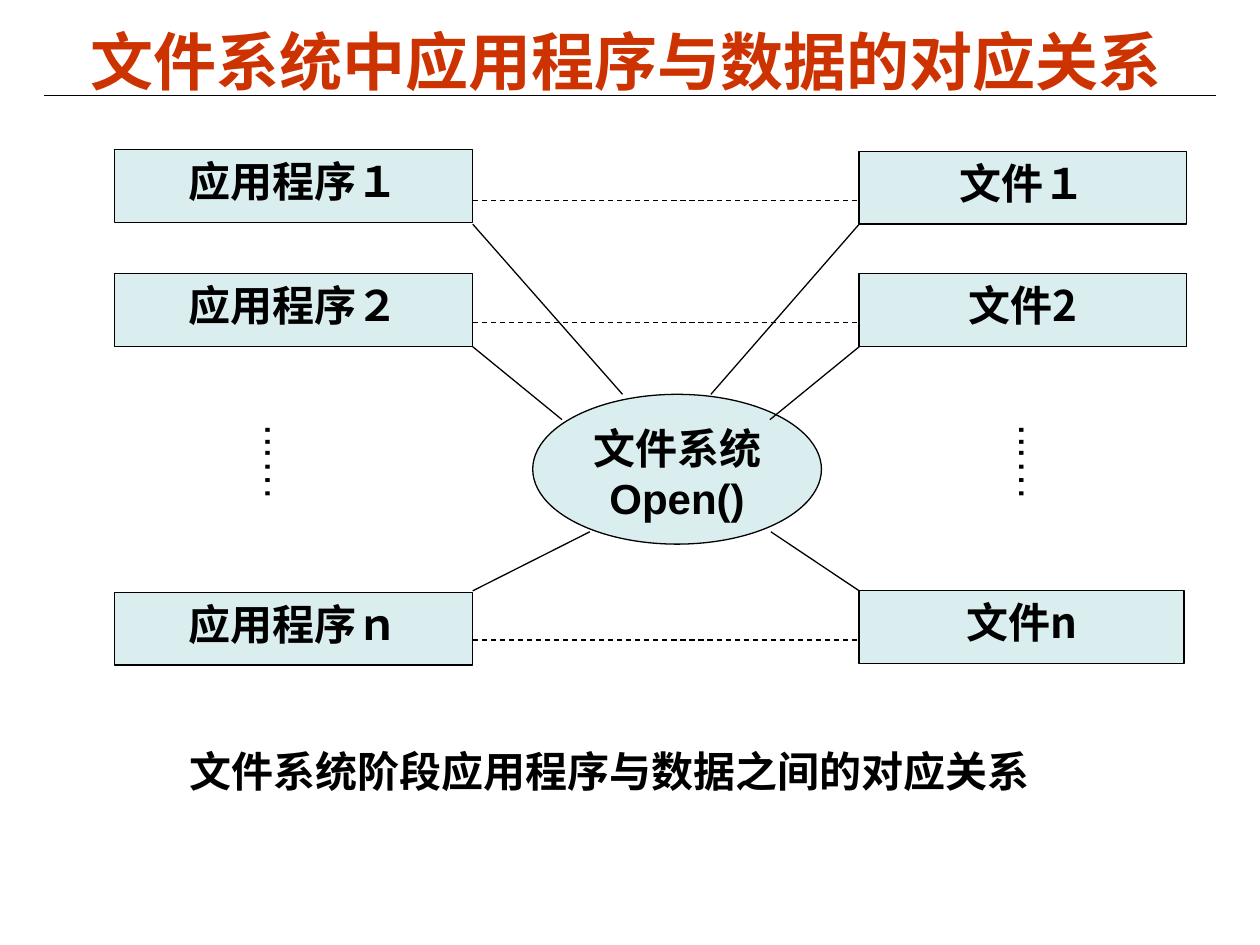
from dataclasses import dataclass

from lxml import etree
from pptx import Presentation
from pptx.dml.color import RGBColor
from pptx.enum import dml, shapes, text
from pptx.oxml import ns
from pptx.util import Cm, Pt


@dataclass
class Theme:
    ink = RGBColor(0, 0, 0)
    head = RGBColor(0xCC, 0x33, 0x00)
    fill = RGBColor(0xDA, 0xED, 0xEF)
    cjk = "Noto Sans CJK SC"
    latin = "Arial"
    big = Pt(36)
    body = Pt(24)
    thin = Pt(0.75)


theme = Theme()
mid = text.PP_ALIGN.CENTER


def write(shape, words, size=theme.body, color=theme.ink, bold=True,
          face=theme.cjk, align=mid):
    """Set the words of a shape and format every run, Latin and East Asian."""
    frame = shape.text_frame
    frame.text = words
    frame.word_wrap = True
    frame.vertical_anchor = text.MSO_ANCHOR.TOP
    for para in frame.paragraphs:
        para.alignment = align
        for run in para.runs:
            font = run.font
            font.size, font.bold, font.name = size, bold, face
            font.color.rgb = color
            east = etree.SubElement(font._element, ns.qn("a:ea"))
            east.set("typeface", face)
    return frame


def link(x1, y1, x2, y2, dash=False):
    line = slide.shapes.add_connector(
        shapes.MSO_CONNECTOR.STRAIGHT, Cm(x1), Cm(y1), Cm(x2), Cm(y2))
    line.line.color.rgb = theme.ink
    line.line.width = theme.thin
    if dash:
        line.line.dash_style = dml.MSO_LINE.DASH
    etree.SubElement(line._element.spPr, ns.qn("a:effectLst"))


deck = Presentation()
deck.slide_width, deck.slide_height = Cm(25.4), Cm(19.05)
slide = deck.slides.add_slide(deck.slide_layouts[6])

# Title and rule
link(0.89, 1.93, 24.51, 1.93)
title = slide.shapes.add_textbox(Cm(0.94), Cm(0.41), Cm(23.37), Cm(1.63))
frame = write(title, "文件系统中应用程序与数据的对应关系", theme.big, theme.head)
frame.vertical_anchor = text.MSO_ANCHOR.MIDDLE

# Programs on the left, files on the right, the file system between them
left, right = 9.53, 17.32
rect, oval = shapes.MSO_SHAPE.RECTANGLE, shapes.MSO_SHAPE.OVAL
nodes = [
    (rect, "应用程序１", 2.31, 3.02, 7.22, 1.47),
    (rect, "文件１", right, 3.05, 6.6, 1.47),
    (rect, "应用程序２", 2.31, 5.51, 7.22, 1.47),
    (rect, "文件2", right, 5.51, 6.6, 1.47),
    (rect, "应用程序ｎ", 2.31, 11.94, 7.22, 1.47),
    (rect, "文件n", right, 11.91, 6.55, 1.47),
    (oval, "文件系统\nOpen()", 10.74, 7.95, 5.82, 3.02),
]
for kind, words, x, y, wide, high in nodes:
    node = slide.shapes.add_shape(kind, Cm(x), Cm(y), Cm(wide), Cm(high))
    node.shadow.inherit = False
    node.fill.solid()
    node.fill.fore_color.rgb = theme.fill
    node.line.color.rgb = theme.ink
    node.line.width = theme.thin
    frame = write(node, words)

# The call in the oval is set in the Latin face
for run in frame.paragraphs[1].runs:
    run.font.name = theme.latin

# Logical pairs are dashed, real access paths are solid
for y in (4.04, 6.5, 12.9):
    link(left, y, right, y, dash=True)
for y, x1, x2, end in ((4.52, 12.55, 14.33, 7.95),
                       (6.99, 11.33, 15.52, 8.46),
                       (11.91, 11.89, 15.54, 10.72)):
    link(left, y, x1, end)
    link(right, y, x2, end)

# Vertical dots for the rows left out
for x, high in ((5.13, 2.62), (20.32, 2.84)):
    dots = slide.shapes.add_textbox(Cm(x), Cm(8.31), Cm(1.52), Cm(high))
    frame = write(dots, "...…", bold=False, face=theme.latin,
                  align=text.PP_ALIGN.LEFT)
    frame.margin_left, frame.margin_right = Cm(0.13), Cm(0.45)
    frame.margin_top = frame.margin_bottom = Cm(0.25)
    frame._txBody.bodyPr.set("vert", "eaVert")

# Caption
note = slide.shapes.add_textbox(Cm(3.58), Cm(14.91), Cm(19.76), Cm(1.27))
write(note, "文件系统阶段应用程序与数据之间的对应关系", align=text.PP_ALIGN.LEFT)

deck.save("out.pptx")
